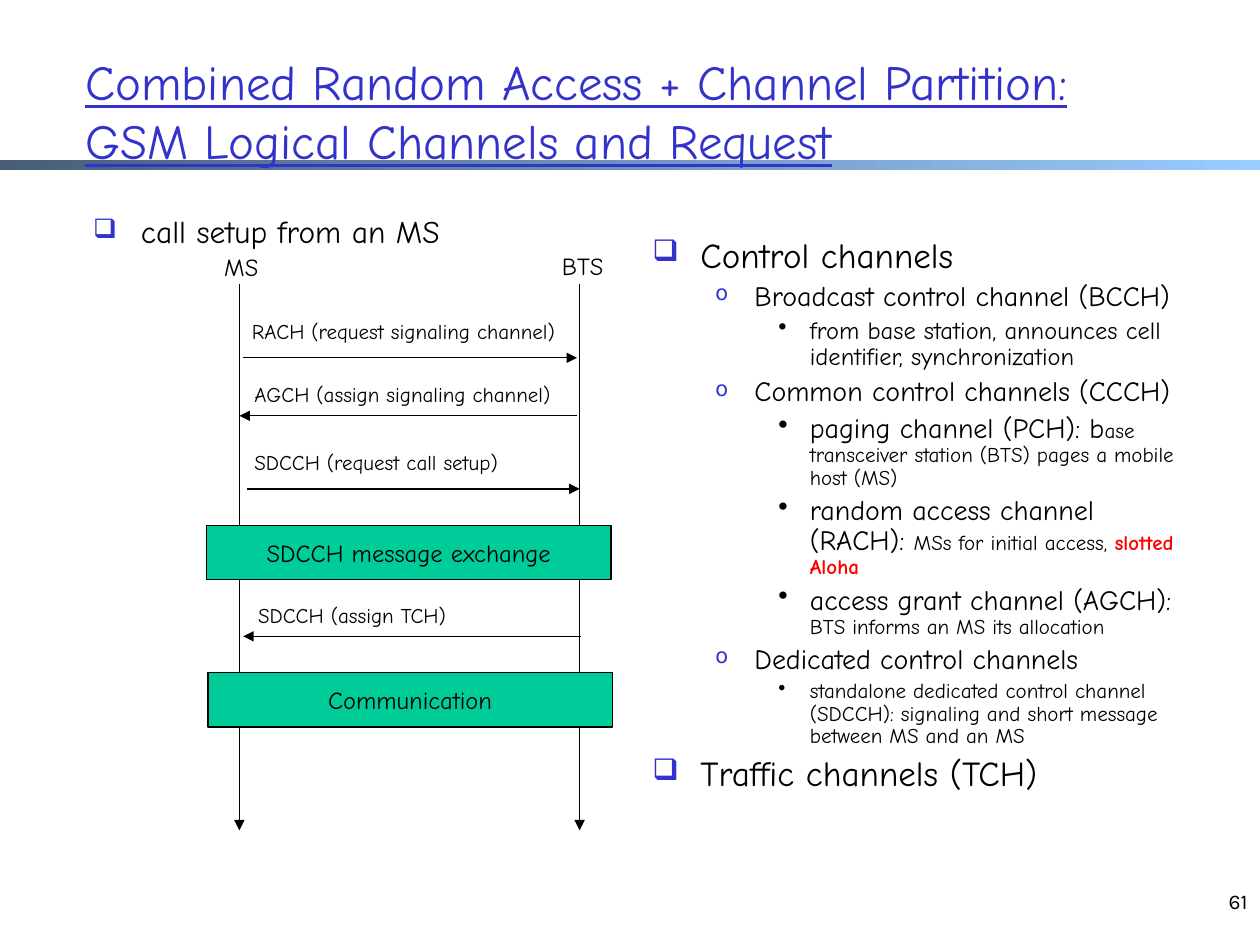
"""Build the slide on GSM logical channels and call setup."""
from typing import NamedTuple

from lxml import etree
from pptx import Presentation
from pptx.dml.color import RGBColor
from pptx.enum.shapes import MSO_CONNECTOR, MSO_SHAPE
from pptx.enum.text import MSO_ANCHOR, MSO_AUTO_SIZE, PP_ALIGN
from pptx.oxml.ns import qn
from pptx.util import Emu, Pt

SCALE = 9144
FONT = "Comic Neue"
BLACK, BLUE, GREEN, RED = "000000", "3333CC", "00CC99", "FF0000"
LEFT, MID, RIGHT = PP_ALIGN.LEFT, PP_ALIGN.CENTER, PP_ALIGN.RIGHT
TOP, CENTRE = MSO_ANCHOR.TOP, MSO_ANCHOR.MIDDLE
RECT, LINE = MSO_SHAPE.RECTANGLE, MSO_CONNECTOR.STRAIGHT
FIT = MSO_AUTO_SIZE.SHAPE_TO_FIT_TEXT


class Box(NamedTuple):
    left: int
    top: int
    width: int
    height: int


class Run(NamedTuple):
    text: str
    size: int
    color: str = BLACK
    bold: bool = False
    under: bool = False
    font: str = FONT


class Level(NamedTuple):
    margin: int
    hang: int
    mark: str
    color: str
    percent: int


class Item(NamedTuple):
    level: int
    runs: list[Run]


class Signal(NamedTuple):
    text: str
    label: Box
    start: int
    end: int
    y: int


LEVELS = [
    Level(38, 38, "❑", BLUE, 85),
    Level(81, 31, "o", BLUE, 75),
    Level(125, 25, "•", BLACK, 100),
]
CALL = [Item(0, [Run("call setup from an MS", 18)])]
CHANNELS = [
    Item(0, [Run("Control channels", 20)]),
    Item(1, [Run("Broadcast control channel (BCCH)", 16)]),
    Item(2, [Run("from base station, announces cell identifier, synchronization", 14)]),
    Item(1, [Run("Common control channels (CCCH)", 16)]),
    Item(2, [Run("paging channel (PCH): b", 16),
             Run("ase transceiver station (BTS) pages a mobile host (MS)", 12)]),
    Item(2, [Run("random access channel (RACH): ", 16),
             Run("MSs for initial access, ", 12),
             Run("slotted Aloha", 12, RED, True)]),
    Item(2, [Run("access grant channel (AGCH): ", 16),
             Run("BTS informs an MS its allocation", 12)]),
    Item(1, [Run("Dedicated control channels", 16)]),
    Item(2, [Run("standalone dedicated control channel (SDCCH): signaling "
                 "and short message between MS and an MS", 12)]),
    Item(0, [Run("Traffic channels (TCH)", 20)]),
]
NODES = [("BTS", Box(433, 194, 59, 33), 460), ("MS", Box(166, 195, 51, 33), 190)]
SIGNALS = [
    Signal("RACH (request signaling channel)", Box(190, 248, 278, 30), 193, 458, 284),
    Signal("AGCH (assign signaling channel)", Box(192, 298, 267, 30), 458, 190, 330),
    Signal("SDCCH (request call setup)", Box(192, 352, 234, 30), 196, 460, 388),
    Signal("SDCCH (assign TCH)", Box(195, 473, 181, 30), 461, 193, 505),
]
PHASES = [
    ("SDCCH message exchange", Box(164, 417, 321, 43)),
    ("Communication", Box(165, 534, 321, 43)),
]


def px(value: int) -> Emu:
    """Turn px into EMU."""
    return Emu(value * SCALE)


def rgb(code: str) -> RGBColor:
    """Turn a hex string into a colour."""
    return RGBColor.from_string(code)


def place(box: Box) -> list[Emu]:
    """Give a box in EMU."""
    return [px(side) for side in box]


def write(para, runs: list[Run]) -> None:
    """Add runs to a paragraph."""
    for run in runs:
        part = para.add_run()
        part.text = run.text
        font = part.font
        font.name, font.size = run.font, Pt(run.size)
        font.bold, font.underline = run.bold, run.under
        font.color.rgb = rgb(run.color)


def text(slide, box: Box, run: Run, align=LEFT, anchor=TOP, wrap: bool = True) -> None:
    """Add a text box with one run."""
    frame = slide.shapes.add_textbox(*place(box)).text_frame
    frame.word_wrap = wrap
    frame.vertical_anchor = anchor
    if not wrap:
        frame.auto_size = FIT
    para = frame.paragraphs[0]
    para.alignment = align
    write(para, [run])


def bullet(para, level: Level) -> None:
    """Give a paragraph its indent and mark."""
    props = para._p.get_or_add_pPr()
    props.set("marL", str(px(level.margin)))
    props.set("indent", str(px(-level.hang)))
    tint = etree.SubElement(props, qn("a:buClr"))
    etree.SubElement(tint, qn("a:srgbClr"), val=level.color)
    etree.SubElement(props, qn("a:buSzPct"), val=str(level.percent * 1000))
    etree.SubElement(props, qn("a:buChar"), char=level.mark)


def outline(slide, box: Box, items: list[Item]) -> None:
    """Add a bulleted list."""
    frame = slide.shapes.add_textbox(*place(box)).text_frame
    frame.word_wrap = True
    for index, item in enumerate(items):
        para = frame.add_paragraph() if index else frame.paragraphs[0]
        bullet(para, LEVELS[item.level])
        para.line_spacing = 0.9
        para.space_before = Pt(round(item.runs[0].size * 0.23, 1) if index else 0)
        write(para, item.runs)


def arrow(slide, start: tuple[int, int], end: tuple[int, int]) -> None:
    """Add a line with an arrowhead at its end."""
    link = slide.shapes.add_connector(LINE, *map(px, start + end))
    link.line.color.rgb = rgb(BLACK)
    link.line.width = Pt(0.75)
    etree.SubElement(link.line._get_or_add_ln(), qn("a:tailEnd"), type="triangle")
    etree.SubElement(link._element.spPr, qn("a:effectLst"))


def phase(slide, name: str, box: Box) -> None:
    """Add a green block across both lifelines."""
    shape = slide.shapes.add_shape(RECT, *place(box))
    shape.shadow.inherit = False
    shape.fill.solid()
    shape.fill.fore_color.rgb = rgb(GREEN)
    shape.line.color.rgb = rgb(BLACK)
    shape.line.width = Pt(0.75)
    frame = shape.text_frame
    frame.word_wrap = False
    frame.vertical_anchor = CENTRE
    para = frame.paragraphs[0]
    para.alignment = MID
    write(para, [Run(name, 14)])


def band(slide, box: Box, colors: list[str]) -> None:
    """Add a bar that fades from left to right."""
    shape = slide.shapes.add_shape(RECT, *place(box))
    shape.shadow.inherit = False
    shape.line.fill.background()
    shape.fill.gradient()
    shape.fill.gradient_angle = 0
    for stop, color in zip(shape.fill.gradient_stops, colors):
        stop.color.rgb = rgb(color)


def main() -> None:
    """Build and save the slide."""
    deck = Presentation()
    deck.slide_width, deck.slide_height = px(1000), px(750)
    slide = deck.slides.add_slide(deck.slide_layouts[6])
    band(slide, Box(0, 127, 1000, 8), ["475E76", "99CCFF"])
    text(slide, Box(767, 700, 233, 50), Run("61", 12, font="Karla"), RIGHT)
    title = "Combined Random Access + Channel Partition: GSM Logical Channels and Request"
    text(slide, Box(58, 25, 878, 125), Run(title, 28, BLUE, under=True), anchor=CENTRE)
    outline(slide, Box(508, 184, 437, 536), CHANNELS)
    outline(slide, Box(64, 167, 417, 508), CALL)
    for name, box, x in NODES:
        arrow(slide, (x, 225), (x, 659))
        text(slide, box, Run(name, 14), MID, wrap=False)
    for sign in SIGNALS:
        arrow(slide, (sign.start, sign.y), (sign.end, sign.y))
        text(slide, sign.label, Run(sign.text, 12), wrap=False)
    for name, box in PHASES:
        phase(slide, name, box)
    deck.save("out.pptx")


if __name__ == "__main__":
    main()
